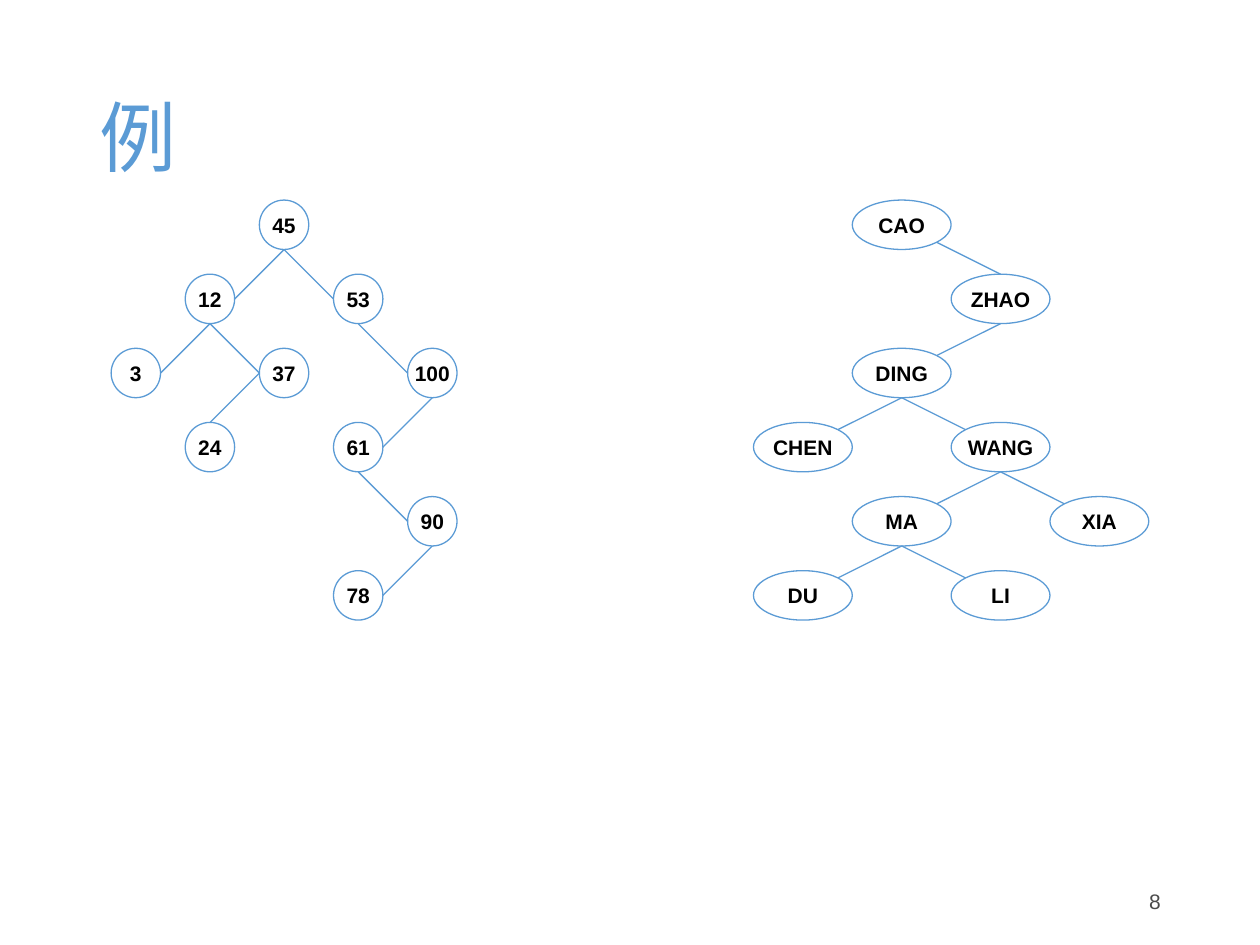
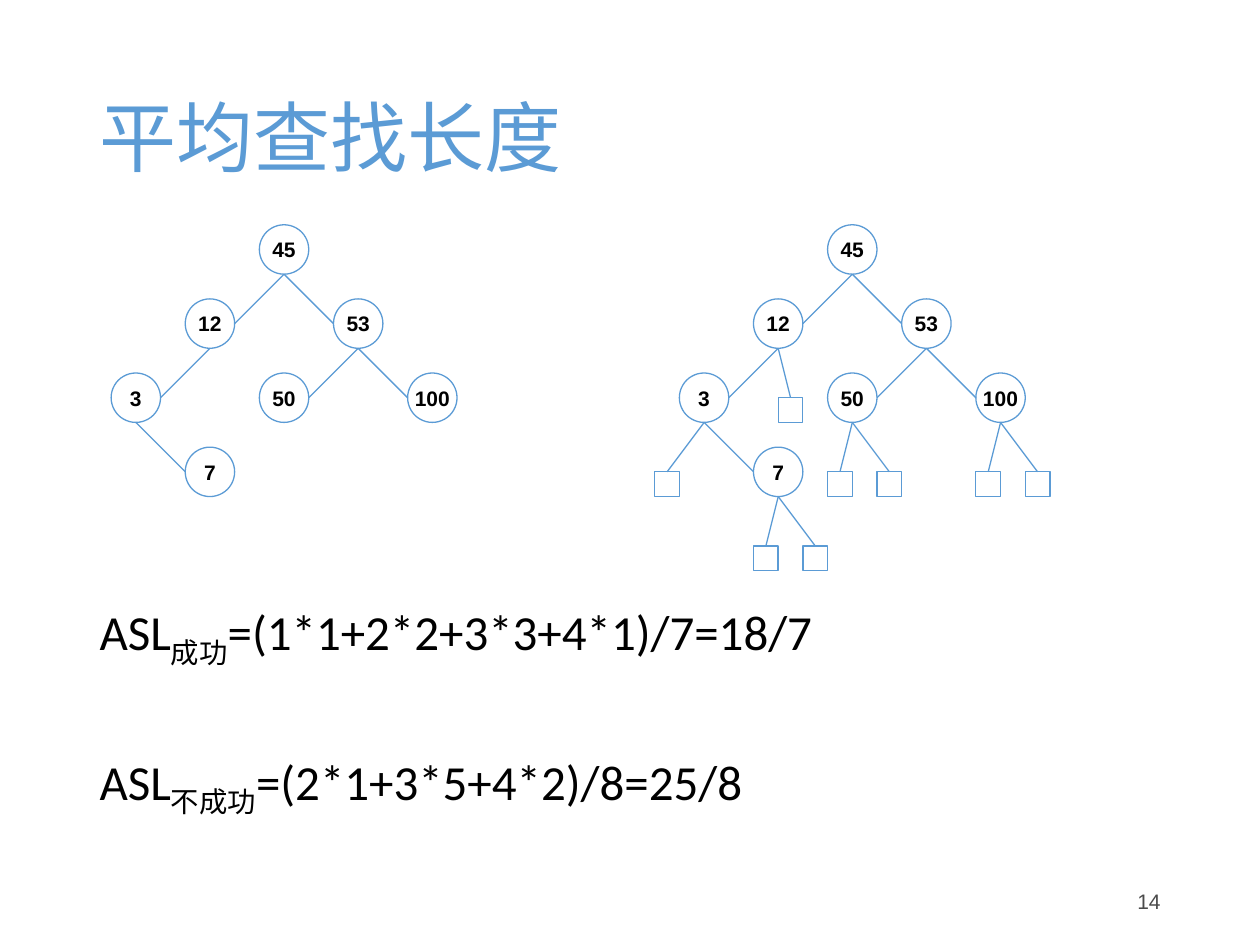
from pptx import Presentation
from pptx.dml.color import RGBColor
from pptx.enum.shapes import MSO_CONNECTOR as CXN, MSO_SHAPE as SHAPE
from pptx.enum.text import MSO_ANCHOR as ANCHOR, MSO_AUTO_SIZE as FIT, PP_ALIGN as ALIGN
from pptx.oxml.ns import qn
from pptx.util import Inches, Pt
from lxml import etree

W, H = Inches(10), Inches(7.5)
UNIT = W / 51  # one grid column, and one grid row
LEVEL = 3      # rows between two levels of a tree
COLORS = {"blue": "5B9BD5", "text": "000000", "number": "4B4B4B"}

TITLE = dict(name="Calibri", size=Pt(44), bold=False)
BODY = dict(name="Calibri", size=Pt(28))
NODE = dict(name="Arial", size=Pt(12), bold=True)
NUMBER = dict(name="Arial", size=Pt(12))

# Points on an outline, in half widths and half heights from its centre
DIAG = 0.71
ANCHORS = {"top": (0, -1), "bottom": (0, 1), "left": (-1, 0), "right": (1, 0),
           "nw": (-DIAG, -DIAG), "ne": (DIAG, -DIAG), "se": (DIAG, DIAG)}

# label: (centre column, level, parent[, anchor on parent, anchor on child])
NUMBER_TREE = {
    "45": (11.5, 0, None), "12": (8.5, 1, "45"), "53": (14.5, 1, "45"),
    "3": (5.5, 2, "12"), "37": (11.5, 2, "12"), "100": (17.5, 2, "53"),
    "24": (8.5, 3, "37", "left", "top"), "61": (14.5, 3, "100"),
    "90": (17.5, 4, "61"), "78": (14.5, 5, "90"),
}
NAME_TREE = {
    "CAO": (36.5, 0, None), "ZHAO": (40.5, 1, "CAO", "se", "top"),
    "DING": (36.5, 2, "ZHAO"), "CHEN": (32.5, 3, "DING"),
    "WANG": (40.5, 3, "DING"), "MA": (36.5, 4, "WANG"),
    "XIA": (44.5, 4, "WANG"), "DU": (32.5, 5, "MA"), "LI": (40.5, 5, "MA"),
}
SEARCH_TREE = {
    "45": (11.5, 0, None), "12": (8.5, 1, "45"), "53": (14.5, 1, "45"),
    "3": (5.5, 2, "12"), "50": (11.5, 2, "53"), "100": (17.5, 2, "53"),
    "7": (8.5, 3, "3"),
}
# parent: column offsets of the squares where a failed search ends
FAILURES = {"3": [-1.5], "12": [0.5], "50": [-0.5, 1.5],
            "100": [-0.5, 1.5], "7": [-0.5, 1.5]}
FORMULAS = [("ASL", "成功", "=(1*1+2*2+3*3+4*1)/7=18/7"),
            ("ASL", "不成功", "=(2*1+3*5+4*2)/8=25/8")]


def rgb(color):
    return RGBColor.from_string(COLORS[color])


def set_font(font, style, color):
    for key, value in style.items():
        setattr(font, key, value)
    font.color.rgb = rgb(color)


def place(shape, left, top, width, height):
    """Set a box in shares of the slide's size."""
    box = dict(left=W * left, top=H * top, width=W * width, height=H * height)
    for key, value in box.items():
        setattr(shape, key, int(value))


def add_slide(prs, layout, title, number):
    s = prs.slides.add_slide(prs.slide_layouts[layout])
    place(s.shapes.title, 0.069, 0.053, 0.862, 0.193)
    tf = s.shapes.title.text_frame
    tf.text, tf.vertical_anchor, tf.auto_size = title, ANCHOR.MIDDLE, FIT.NONE
    p = tf.paragraphs[0]
    p.alignment, p.line_spacing = ALIGN.LEFT, 0.9
    set_font(p.runs[0].font, TITLE, "blue")

    box = s.shapes.add_textbox(0, 0, 0, 0)
    place(box, 0.706, 0.927, 0.225, 0.053)
    tf = box.text_frame
    tf.text, tf.word_wrap, tf.vertical_anchor = number, True, ANCHOR.MIDDLE
    p = tf.paragraphs[0]
    p.alignment = ALIGN.RIGHT
    set_font(p.runs[0].font, NUMBER, "number")
    return s


def add_outline(s, kind, col, row, cols, rows):
    """Add an unfilled shape centred on a grid point."""
    sp = s.shapes.add_shape(kind, *(int(v * UNIT) for v in (
        col - cols / 2, row - rows / 2, cols, rows)))
    sp.shadow.inherit = False
    sp.fill.background()
    sp.line.color.rgb, sp.line.width = rgb("blue"), Pt(0.75)
    return sp


def add_node(s, label, col, row, cols):
    sp = add_outline(s, SHAPE.OVAL, col, row, cols, 2)
    tf = sp.text_frame
    for side in ("left", "right", "top", "bottom"):
        setattr(tf, f"margin_{side}", 0)
    tf.text, tf.word_wrap, tf.vertical_anchor = label, False, ANCHOR.MIDDLE
    p = tf.paragraphs[0]
    p.alignment = ALIGN.CENTER
    set_font(p.runs[0].font, NODE, "text")
    return sp


def anchor_point(sp, anchor):
    dx, dy = ANCHORS[anchor]
    return (int(sp.left + sp.width * (1 + dx) / 2),
            int(sp.top + sp.height * (1 + dy) / 2))


def add_edge(s, parent, child, start, end):
    line = s.shapes.add_connector(CXN.STRAIGHT, *anchor_point(parent, start),
                                  *anchor_point(child, end))
    line.line.color.rgb, line.line.width = rgb("blue"), Pt(0.75)
    etree.SubElement(line._element.spPr, qn("a:effectLst"))
    return line


def add_tree(s, tree, top_row, shift=0, cols=2, sides=("left", "right")):
    """Draw nodes and edges; sides are the anchors of right and left children."""
    nodes = {label: add_node(s, label, col + shift, top_row + LEVEL * level, cols)
             for label, (col, level, *_) in tree.items()}
    for label, (col, _, parent, *anchors) in tree.items():
        if parent:
            start, end = anchors or ("bottom", sides[col < tree[parent][0]])
            add_edge(s, nodes[parent], nodes[label], start, end)
    return nodes


def add_failures(s, tree, nodes, top_row, shift):
    for parent, offsets in FAILURES.items():
        col, level, *_ = tree[parent]
        row = top_row + LEVEL * (level + 1) + 0.5
        for offset in offsets:
            square = add_outline(s, SHAPE.RECTANGLE, col + shift + offset, row, 1, 1)
            edge = add_edge(s, nodes[parent], square, "bottom", "top")
            edge.end_connect(square, 0)


def add_formulas(s):
    body = s.placeholders[1]
    place(body, 0.069, 0.631, 0.862, 0.271)
    tf = body.text_frame
    tf.auto_size, tf.vertical_anchor = FIT.NONE, ANCHOR.TOP
    for i, parts in enumerate(FORMULAS):
        p = tf.add_paragraph() if i else tf.paragraphs[0]
        pPr = p._p.get_or_add_pPr()
        pPr.set("marL", "0")
        pPr.set("indent", "0")
        etree.SubElement(pPr, qn("a:buNone"))
        p.line_spacing, p.space_before = 0.9, Pt(51 * i)
        for part, baseline in zip(parts, (0, -25000, 0)):
            r = p.add_run()
            r.text = part
            set_font(r.font, BODY, "text")
            if baseline:
                r._r.get_or_add_rPr().set("baseline", str(baseline))


def main():
    prs = Presentation()
    prs.slide_width, prs.slide_height = W, H

    s = add_slide(prs, 5, "例", "8")
    add_tree(s, NUMBER_TREE, 9.1)
    add_tree(s, NAME_TREE, 9.1, cols=4, sides=("nw", "ne"))

    s = add_slide(prs, 1, "平均查找长度", "14")
    add_formulas(s)
    add_tree(s, SEARCH_TREE, 10.1)
    nodes = add_tree(s, SEARCH_TREE, 10.1, shift=23)
    add_failures(s, SEARCH_TREE, nodes, 10.1, shift=23)

    prs.save("out.pptx")


if __name__ == "__main__":
    main()
